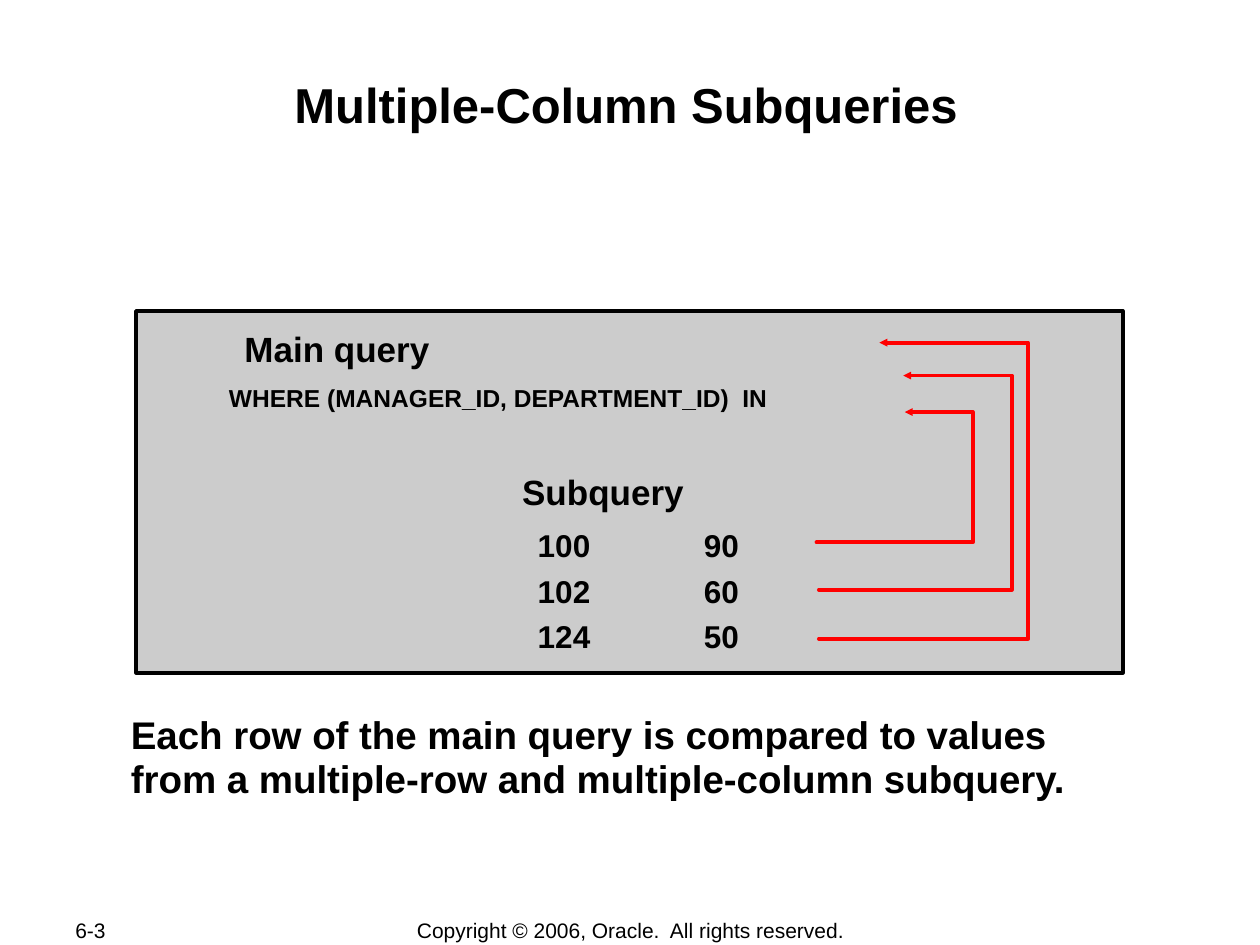
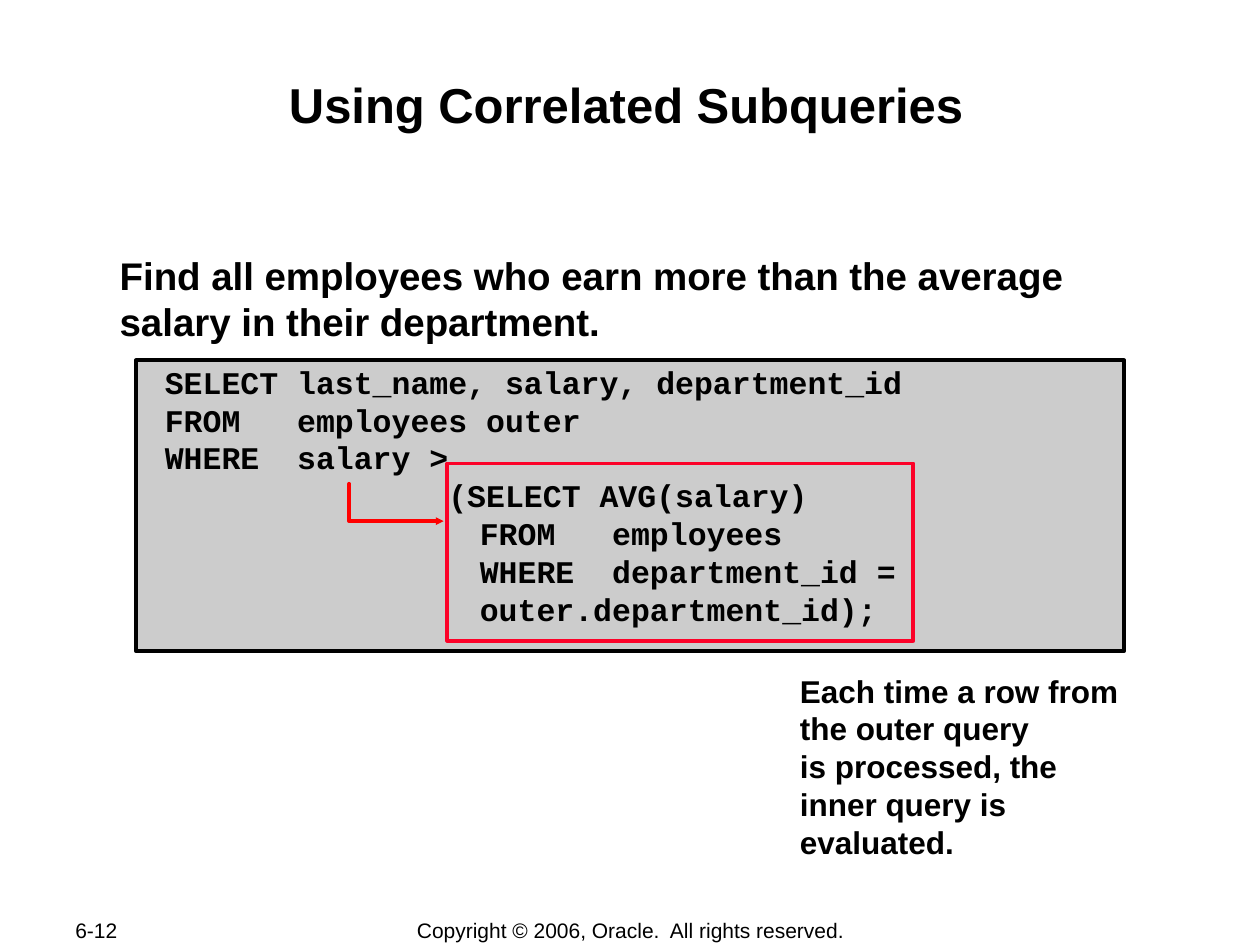
from dataclasses import dataclass

from lxml import etree
from pptx import Presentation
from pptx.dml.color import RGBColor
from pptx.enum.shapes import MSO_SHAPE
from pptx.enum.text import MSO_ANCHOR, PP_ALIGN
from pptx.oxml.ns import qn
from pptx.slide import Slide
from pptx.util import Pt

RECT = MSO_SHAPE.RECTANGLE
LEFT, CENTER = PP_ALIGN.LEFT, PP_ALIGN.CENTER
TOP, MIDDLE = MSO_ANCHOR.TOP, MSO_ANCHOR.MIDDLE
TITLE_ONLY = 5


@dataclass(frozen=True)
class Theme:
    ink: RGBColor = RGBColor(0, 0, 0)
    panel: RGBColor = RGBColor(0xCC, 0xCC, 0xCC)
    arrow: RGBColor = RGBColor(0xFF, 0, 0)
    highlight: RGBColor = RGBColor(0xFC, 0x01, 0x28)
    font: str = "Arial"
    code_font: str = "Courier New"
    title: float = 28
    body: float = 22
    heading: float = 20
    value: float = 18
    clause: float = 14
    footer: float = 12
    line: float = 2.25


THEME = Theme()


@dataclass(frozen=True)
class Box:
    x: float
    y: float
    w: float
    h: float

    def lengths(self) -> tuple[int, ...]:
        return tuple(Pt(v) for v in (self.x, self.y, self.w, self.h))


@dataclass(frozen=True)
class Line:
    text: str
    indent: float = 0


@dataclass(frozen=True)
class TextBlock:
    box: Box
    lines: tuple[Line, ...]
    size: float
    font: str = THEME.font
    bold: bool = True
    align: PP_ALIGN = LEFT
    anchor: MSO_ANCHOR = TOP
    wrap: bool = True
    spacing: float = 1.0
    margin_x: float = 7.2
    margin_y: float = 3.6
    tab: float = 0


@dataclass(frozen=True)
class Elbow:
    points: tuple[tuple[float, float], ...]


def rows(*texts: str) -> tuple[Line, ...]:
    return tuple(Line(t) for t in texts)


def row_arrow(start_x: float, row_y: float, turn_x: float,
              end_x: float, end_y: float) -> Elbow:
    return Elbow(((start_x, row_y), (turn_x, row_y),
                  (turn_x, end_y), (end_x, end_y)))


def fill_text(sp, block: TextBlock) -> None:
    tf = sp.text_frame
    tf.word_wrap = block.wrap
    tf.vertical_anchor = block.anchor
    tf.margin_left = tf.margin_right = Pt(block.margin_x)
    tf.margin_top = tf.margin_bottom = Pt(block.margin_y)
    for i, line in enumerate(block.lines):
        p = tf.add_paragraph() if i else tf.paragraphs[0]
        p.alignment = block.align
        p.line_spacing = block.spacing
        p.space_before = Pt(0)
        pr = p._p.get_or_add_pPr()
        if line.indent:
            pr.set("marL", str(Pt(line.indent)))
            pr.set("indent", "0")
        if block.tab:
            tabs = etree.SubElement(pr, qn("a:tabLst"))
            etree.SubElement(tabs, qn("a:tab"), pos=str(Pt(block.tab)), algn="l")
        r = p.add_run()
        r.text = line.text
        r.font.name = block.font
        r.font.size = Pt(block.size)
        r.font.bold = block.bold
        r.font.color.rgb = THEME.ink


def add_text(s: Slide, block: TextBlock) -> None:
    fill_text(s.shapes.add_textbox(*block.box.lengths()), block)


def add_rect(s: Slide, box: Box, line: RGBColor, fill: RGBColor | None = None) -> None:
    sp = s.shapes.add_shape(RECT, *box.lengths())
    sp.shadow.inherit = False
    if fill is None:
        sp.fill.background()
    else:
        sp.fill.solid()
        sp.fill.fore_color.rgb = fill
    sp.line.color.rgb = line
    sp.line.width = Pt(THEME.line)


def add_elbow(s: Slide, elbow: Elbow) -> None:
    start, *rest = [(Pt(x), Pt(y)) for x, y in elbow.points]
    builder = s.shapes.build_freeform(*start)
    builder.add_line_segments(rest, close=False)
    sp = builder.convert_to_shape()
    sp.shadow.inherit = False
    sp.fill.background()
    sp.line.color.rgb = THEME.arrow
    sp.line.width = Pt(THEME.line)
    ln = sp.line._get_or_add_ln()
    ln.set("cap", "rnd")
    etree.SubElement(ln, qn("a:round"))
    etree.SubElement(ln, qn("a:tailEnd"), type="triangle", w="sm", len="sm")


def add_slide(prs, title: str, number: str) -> Slide:
    s = prs.slides.add_slide(prs.slide_layouts[TITLE_ONLY])
    box = Box(69.8, 41.8, 576, 69)
    sp = s.shapes.title
    sp.left, sp.top, sp.width, sp.height = box.lengths()
    fill_text(sp, TextBlock(box, rows(title), THEME.title, align=CENTER,
                            margin_x=0.7, margin_y=0.7))
    add_text(s, TextBlock(Box(36, 524.2, 76.3, 14.4), rows(number), THEME.footer,
                          bold=False, anchor=MIDDLE))
    add_text(s, TextBlock(Box(198.7, 524.2, 323.3, 15),
                          rows("Copyright © 2006, Oracle.  All rights reserved."),
                          THEME.footer, bold=False, align=CENTER, anchor=MIDDLE,
                          wrap=False))
    return s


def build_multiple_column(prs) -> None:
    s = add_slide(prs, "Multiple-Column Subqueries", "6-3")
    add_rect(s, Box(77.8, 177.8, 563.8, 206.6), THEME.ink, THEME.panel)
    labels = (
        ("Main query", Box(132.5, 178.6, 120.2, 36), THEME.heading),
        ("WHERE (MANAGER_ID, DEPARTMENT_ID)  IN", Box(123.1, 211.7, 323.3, 27.4),
         THEME.clause),
        ("Subquery", Box(290.9, 260.6, 107.3, 36), THEME.heading),
    )
    for text, box, size in labels:
        add_text(s, TextBlock(box, rows(text), size, align=CENTER, wrap=False,
                              spacing=1.2))
    add_text(s, TextBlock(Box(300.2, 293, 180.7, 85),
                          rows("100\t90", "102\t60", "124\t50"),
                          THEME.value, spacing=1.2, tab=95))
    for elbow in (row_arrow(466.6, 310, 555.8, 517, 235.5),
                  row_arrow(468, 337, 578.2, 516.2, 214.6),
                  row_arrow(468, 365, 587.5, 502.6, 195.8)):
        add_elbow(s, elbow)
    add_text(s, TextBlock(Box(67.7, 404.6, 581.8, 57.6), rows(
        "Each row of the main query is compared to values "
        "from a multiple-row and multiple-column subquery."),
        THEME.body, spacing=0.95))


def build_correlated(prs) -> None:
    s = add_slide(prs, "Using Correlated Subqueries", "6-12")
    add_rect(s, Box(77.8, 205.9, 564.5, 166.3), THEME.ink, THEME.panel)
    outer = rows("SELECT last_name, salary, department_id",
                 "FROM   employees outer",
                 "WHERE  salary >",
                 "               (SELECT AVG(salary)")
    inner = tuple(Line(t, indent=72) for t in (
        "          FROM   employees",
        "          WHERE  department_id =",
        "          outer.department_id);"))
    add_text(s, TextBlock(Box(87.1, 203.8, 598.3, 158.4), outer + inner,
                          THEME.value, font=THEME.code_font))
    add_text(s, TextBlock(Box(67.7, 143.3, 580.3, 56), rows(
        "Find all employees who earn more than the average "
        "salary in their department."),
        THEME.body, margin_x=0.7, margin_y=0.7))
    add_text(s, TextBlock(Box(450, 380.2, 201.6, 115.2), rows(
        "Each time a row from", "the outer query", "is processed, the",
        "inner query is", "evaluated."), THEME.value))
    add_elbow(s, Elbow(((199.5, 276.5), (199.5, 297.8), (253.5, 297.8))))
    add_rect(s, Box(255.6, 264.9, 266.4, 101.2), THEME.highlight)


def main() -> None:
    prs = Presentation()
    prs.slide_width, prs.slide_height = Pt(720), Pt(540)
    build_multiple_column(prs)
    build_correlated(prs)
    prs.save("out.pptx")


if __name__ == "__main__":
    main()
